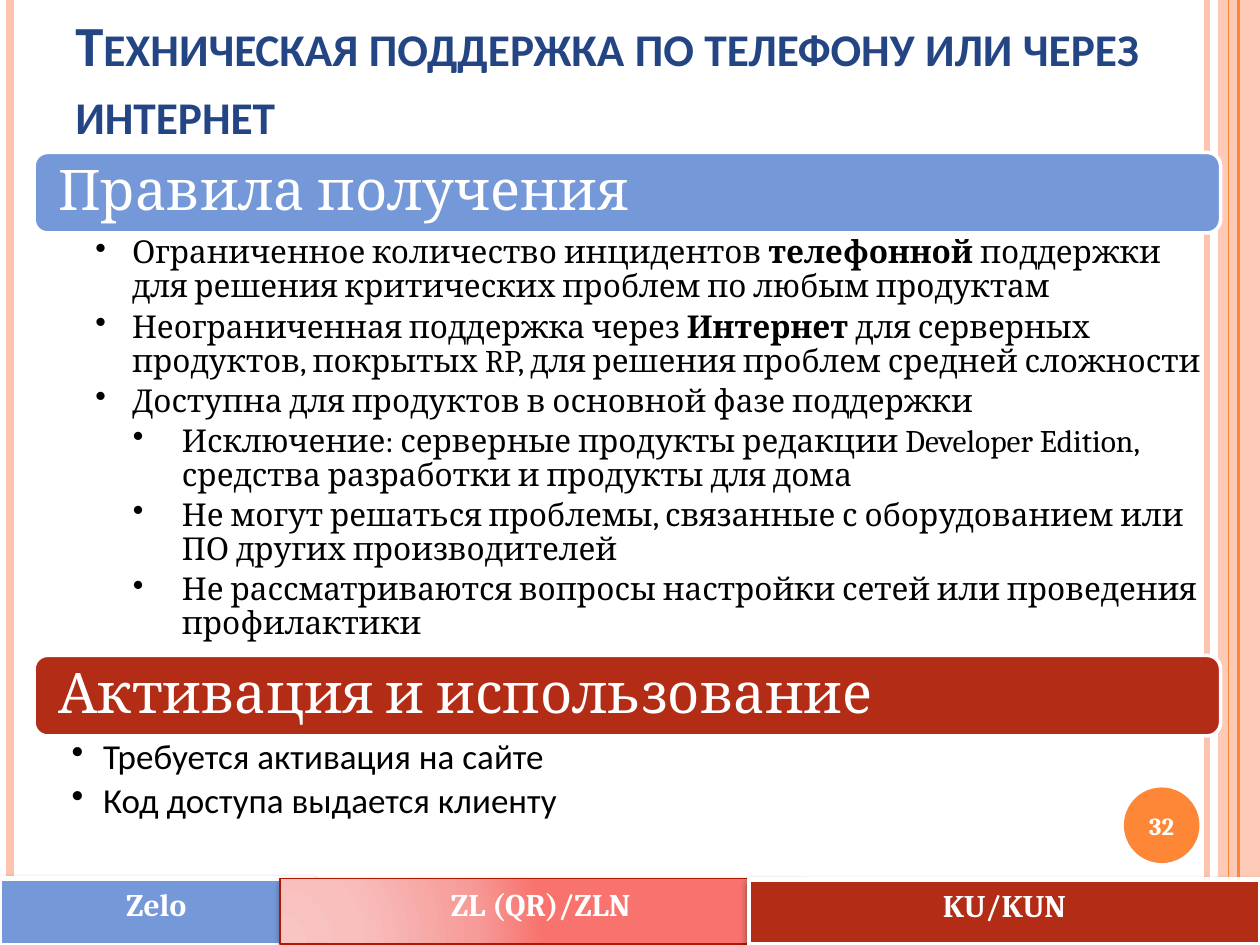
from dataclasses import dataclass

from lxml import etree
from pptx import Presentation
from pptx.dml.color import RGBColor
from pptx.enum.shapes import MSO_CONNECTOR, MSO_SHAPE
from pptx.enum.text import MSO_ANCHOR, PP_ALIGN
from pptx.oxml import parse_xml
from pptx.oxml.ns import nsdecls, qn
from pptx.util import Pt

STRAIGHT = MSO_CONNECTOR.STRAIGHT
RECTANGLE, ROUNDED, OVAL = MSO_SHAPE.RECTANGLE, MSO_SHAPE.ROUNDED_RECTANGLE, MSO_SHAPE.OVAL
TOP, MIDDLE = MSO_ANCHOR.TOP, MSO_ANCHOR.MIDDLE
LEFT, CENTER = PP_ALIGN.LEFT, PP_ALIGN.CENTER


@dataclass(frozen=True)
class Theme:
    heading_font: str = "Calibri"
    body_font: str = "Cambria"
    title_size: float = 32.4
    bar_size: float = 32
    rules_size: float = 18
    activation_size: float = 20
    program_size: float = 18
    number_size: float = 14
    white: RGBColor = RGBColor(0xFF, 0xFF, 0xFF)
    black: RGBColor = RGBColor(0, 0, 0)
    navy: RGBColor = RGBColor(0x24, 0x45, 0x83)
    blue: RGBColor = RGBColor(0x75, 0x98, 0xD9)
    red: RGBColor = RGBColor(0xB3, 0x2C, 0x16)
    dark_red: RGBColor = RGBColor(0xAC, 0x18, 0x00)
    orange: RGBColor = RGBColor(0xFE, 0x86, 0x37)
    peach: RGBColor = RGBColor(0xFE, 0xC3, 0xAE)
    rose_stops: tuple = ((0, "F8C5C3"), (30, "F8BFBD"), (75, "F69B98"), (100, "F8736E"))


theme = Theme()


def write(holder, paragraphs, font, size, color, bold=False, align=LEFT, anchor=TOP,
          insets=(7.2, 3.6, 7.2, 3.6), spacing=None, after=0, indents=()):
    frame = holder.text_frame
    frame.word_wrap = True
    frame.vertical_anchor = anchor
    frame.margin_left, frame.margin_top, frame.margin_right, frame.margin_bottom = map(Pt, insets)
    for index, (level, text) in enumerate(paragraphs):
        paragraph = frame.paragraphs[0] if index == 0 else frame.add_paragraph()
        paragraph.alignment = align
        paragraph.level = level
        if level:
            margin, hanging = indents[level - 1]
            properties = paragraph._p.get_or_add_pPr()
            properties.set("marL", str(Pt(margin)))
            properties.set("indent", str(Pt(-hanging)))
            etree.SubElement(properties, qn("a:buChar")).set("char", "•")
        if spacing:
            paragraph.line_spacing = spacing
        paragraph.space_after = Pt(after)
        for part_index, part in enumerate(text.split("*")):
            run = paragraph.add_run()
            run.text = part
            run.font.name = font
            run.font.size = Pt(size)
            run.font.bold = bold or part_index % 2 == 1
            run.font.color.rgb = color


def add_panel(kind, left, top, width, height, color, line_color=None, line_width=0):
    panel = slide.shapes.add_shape(kind, Pt(left), Pt(top), Pt(width), Pt(height))
    panel.shadow.inherit = False
    panel.fill.solid()
    panel.fill.fore_color.rgb = color
    if line_color is None:
        panel.line.fill.background()
    else:
        panel.line.color.rgb = line_color
        panel.line.width = Pt(line_width)
    return panel


presentation = Presentation()
presentation.slide_width, presentation.slide_height = Pt(720), Pt(540)
slide = presentation.slides.add_slide(presentation.slide_layouts[6])

side_band = add_panel(RECTANGLE, 696, 0, 24, 540, theme.peach)
band_color = side_band.fill._xPr.find(".//" + qn("a:srgbClr"))
etree.SubElement(band_color, qn("a:alpha")).set("val", "87000")

for x, color, width in (
    (689.7, theme.peach, 3),
    (5.75, theme.peach, 4.5),
    (707.75, theme.orange, 1.5),
    (702, theme.orange, 0.75),
):
    stripe = slide.shapes.add_connector(STRAIGHT, Pt(x), Pt(0), Pt(x), Pt(540))
    stripe.line.color.rgb = color
    stripe.line.width = Pt(width)
    etree.SubElement(stripe._element.spPr, qn("a:effectLst"))

page_badge = add_panel(OVAL, 642.25, 450, 43.2, 43.2, theme.orange)
write(page_badge, [(0, "32")], theme.body_font, theme.number_size, theme.white,
      bold=True, align=CENTER, anchor=MIDDLE, insets=(0, 0, 0, 0))

title = slide.shapes.add_textbox(Pt(36), Pt(2.25), Pt(648), Pt(62))
write(title, [(0, "Техническая поддержка по телефону или через интернет")],
      theme.heading_font, theme.title_size, theme.navy, bold=True)
title.text_frame.paragraphs[0].runs[0].font._element.set("cap", "small")

rules = [
    (1, "Ограниченное количество инцидентов *телефонной* поддержки для решения критических проблем по любым продуктам"),
    (1, "Неограниченная поддержка через *Интернет* для серверных продуктов, покрытых RP, для решения проблем средней сложности"),
    (1, "Доступна для продуктов в основной фазе поддержки"),
    (2, "Исключение: серверные продукты редакции Developer Edition, средства разработки и продукты для дома"),
    (2, "Не могут решаться проблемы, связанные с оборудованием или ПО других производителей"),
    (2, "Не рассматриваются вопросы настройки сетей или проведения профилактики"),
]
activation = [(1, "Требуется активация на сайте"), (1, "Код доступа выдается клиенту")]

section_left, section_width, bar_height = 19.5, 678, 46
for heading, color, top, points, height, font, size, indents in (
    ("Правила получения", theme.blue, 87.1, rules, 241,
     theme.body_font, theme.rules_size, ((34.5, 21), (63, 28))),
    ("Активация и использование", theme.red, 374.5, activation, 74,
     theme.heading_font, theme.activation_size, ((18, 18),)),
):
    bar = add_panel(ROUNDED, section_left, top, section_width, bar_height, color, theme.white, 2)
    write(bar, [(0, heading)], theme.body_font, theme.bar_size, theme.white,
          anchor=MIDDLE, insets=(11.5, 9.6, 11.5, 9.6), spacing=0.9)
    details = slide.shapes.add_textbox(
        Pt(section_left), Pt(top + bar_height), Pt(section_width), Pt(height))
    write(details, points, font, size, theme.black, insets=(21.5, 2.2, 10, 2.2),
          spacing=0.9, after=3.5, indents=indents)

stops = "".join(
    f'<a:gs pos="{position * 1000}"><a:srgbClr val="{shade}"/></a:gs>'
    for position, shade in theme.rose_stops)
rose_gradient = (
    f'<a:gradFill {nsdecls("a")} rotWithShape="1"><a:gsLst>{stops}</a:gsLst>'
    '<a:path path="circle"><a:fillToRect l="5000" t="100000" r="120000" b="10000"/></a:path>'
    '</a:gradFill>')
soft_shadow = (
    f'<a:effectLst {nsdecls("a")}><a:outerShdw blurRad="{Pt(4)}" dist="{Pt(2)}" dir="5400000" '
    'rotWithShape="0"><a:srgbClr val="000000"><a:alpha val="40000"/></a:srgbClr>'
    '</a:outerShdw></a:effectLst>')

for program, left, top, width, height, color, line_color, line_width in (
    ("Zelo", 0, 502, 178.5, 38, theme.blue, theme.white, 2.75),
    ("ZL (QR)/ZLN", 160, 502, 298, 37.5, None, theme.dark_red, 1),
    ("KU/KUN", 428, 502.75, 292, 37.25, theme.red, theme.white, 2.75),
):
    tab = add_panel(RECTANGLE, left, top, width, height, color or theme.red, line_color, line_width)
    properties = tab._element.spPr
    if color is None:
        properties.replace(properties.find(qn("a:solidFill")), parse_xml(rose_gradient))
    properties.replace(properties.find(qn("a:effectLst")), parse_xml(soft_shadow))
    write(tab, [(0, program)], theme.body_font, theme.program_size, theme.white,
          bold=True, align=CENTER)

presentation.save("out.pptx")
